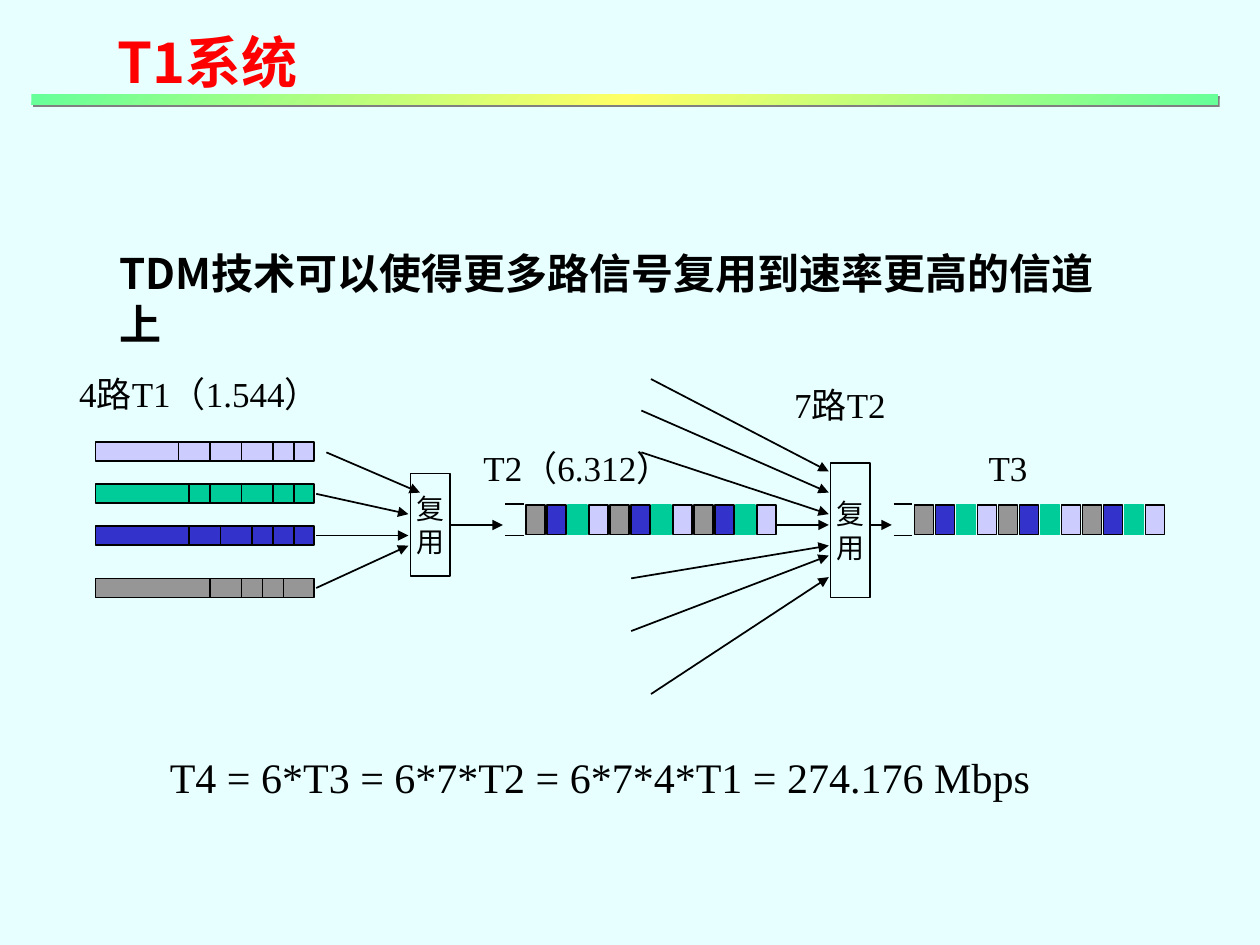
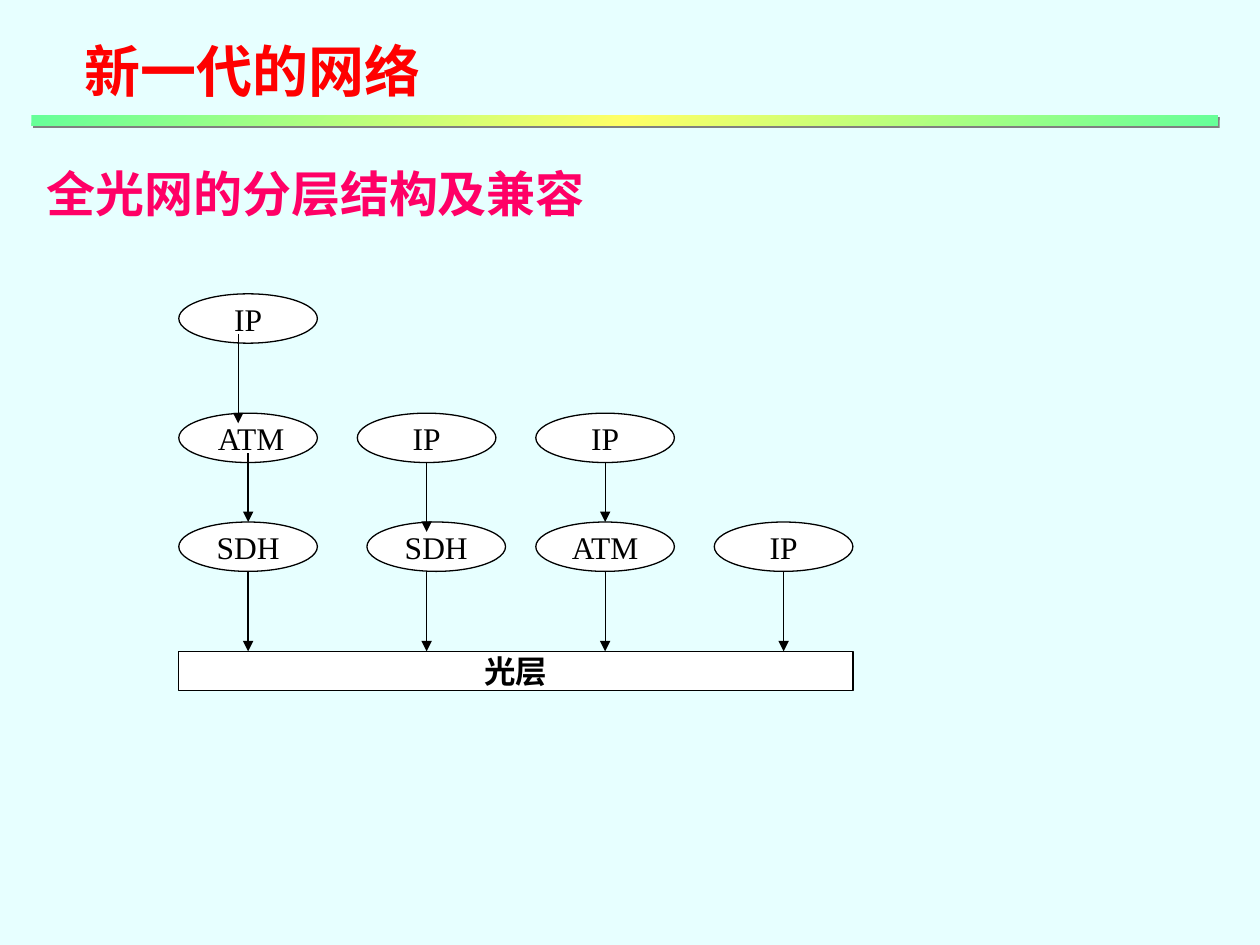
import copy
from dataclasses import dataclass

import pptx
import pptx.util
from pptx.dml.color import RGBColor
from pptx.enum.shapes import MSO_CONNECTOR, MSO_SHAPE
from pptx.enum.text import MSO_ANCHOR, PP_ALIGN
from pptx.oxml import parse_xml
from pptx.oxml.ns import nsdecls, qn


@dataclass(frozen=True)
class Theme:
    """Colours, fonts and type sizes shared by the slides."""
    background: str = "E7FFFF"
    title: str = "FF0000"
    heading: str = "FF0066"
    ink: str = "000000"
    white: str = "FFFFFF"
    band_edge: str = "66FF99"
    band_middle: str = "FFFF66"
    band_shadow: str = "808080"
    lavender: str = "CCCCFF"
    green: str = "00CC99"
    blue: str = "3333CC"
    grey: str = "969696"
    serif: str = "Times New Roman"
    sans: str = "Noto Sans CJK SC"
    title_size: int = 32
    heading_size: int = 28
    body_size: int = 24
    label_size: int = 20
    node_size: int = 18
    mux_size: int = 16
    thin: float = 0.75
    line: float = 1


T = Theme()
Pt = pptx.util.Pt
INSET = 0.6


def rgb(color):
    """Turn a hex string into a colour."""
    return RGBColor.from_string(color)


def write(shape, text, size, color=T.ink, font=T.serif, bold=False,
          centred=False, wrap=True):
    """Write the paragraphs of a text into a shape."""
    tf = shape.text_frame
    tf.word_wrap = wrap
    tf.vertical_anchor = MSO_ANCHOR.MIDDLE if centred else MSO_ANCHOR.TOP
    tf.text = text
    for p in tf.paragraphs:
        p.alignment = PP_ALIGN.CENTER if centred else PP_ALIGN.LEFT
        p.font.size = Pt(size)
        p.font.bold = bold
        p.font.color.rgb = rgb(color)
        p.font.name = font
        p.font._element.append(parse_xml(f'<a:ea {nsdecls("a")} typeface="{T.sans}"/>'))
    return tf.paragraphs[0]


def add_text(s, x, y, w, h, text, size, **style):
    """Add a text box and return its first paragraph."""
    sp = s.shapes.add_textbox(Pt(x), Pt(y), Pt(w), Pt(h))
    return write(sp, text, size, **style)


def add_label(s, cx, y, w, text):
    """Add a one-line label centred on cx, in a box wide enough to hold it."""
    add_text(s, cx - w / 2, y, w, 30, text, T.label_size, centred=True, wrap=False)


def add_box(s, x, y, w, h, fill=None, line=T.ink, width=T.line, kind=MSO_SHAPE.RECTANGLE):
    """Add a flat outlined shape, hollow unless a fill is given."""
    sp = s.shapes.add_shape(kind, Pt(x), Pt(y), Pt(w), Pt(h))
    sp.shadow.inherit = False
    if fill:
        sp.fill.solid()
        sp.fill.fore_color.rgb = rgb(fill)
    else:
        sp.fill.background()
    sp.line.color.rgb = rgb(line)
    sp.line.width = Pt(width)
    return sp


def add_cell(s, x, y, w, h, fill=None, line=T.ink):
    """Add a rectangle drawn slightly inside its grid cell."""
    return add_box(s, x + INSET, y + INSET, w - 2 * INSET, h - 2 * INSET, fill, line)


def add_line(s, x1, y1, x2, y2, width=T.line, arrow=False):
    """Add a straight line, with an arrowhead at its end if asked."""
    c = s.shapes.add_connector(MSO_CONNECTOR.STRAIGHT, Pt(x1), Pt(y1), Pt(x2), Pt(y2))
    c.line.color.rgb = rgb(T.ink)
    c.line.width = Pt(width)
    if arrow:
        c.line._get_or_add_ln().append(parse_xml(f'<a:tailEnd {nsdecls("a")} type="triangle"/>'))
    c._element.spPr.append(parse_xml(f'<a:effectLst {nsdecls("a")}/>'))
    return c


def add_band(s, y):
    """Add the gradient band under the title."""
    sp = add_box(s, 18, y, 678, 6)
    sp.line.fill.background()
    sp.fill.gradient()
    sp.fill.gradient_angle = 315
    first, last = sp.fill.gradient_stops
    first.color.rgb = rgb(T.band_middle)
    first.position = 0.5
    last.color.rgb = rgb(T.band_edge)
    last.position = 1
    stops = sp._element.spPr.find(qn("a:gradFill")).find(qn("a:gsLst"))
    edge = copy.deepcopy(stops[-1])
    edge.set("pos", "0")
    stops.insert(0, edge)
    sp._element.spPr.find(qn("a:effectLst")).append(parse_xml(
        f'<a:outerShdw {nsdecls("a")} dist="17780" dir="2700000" algn="ctr" rotWithShape="0">'
        f'<a:srgbClr val="{T.band_shadow}"/></a:outerShdw>'))


def add_slide(prs, title, x, y, w, band_y, font):
    """Start a slide with its background, band and title."""
    s = prs.slides.add_slide(prs.slide_layouts[6])
    s.background.fill.solid()
    s.background.fill.fore_color.rgb = rgb(T.background)
    add_band(s, band_y)
    add_text(s, x, y, w, 46, title, T.title_size, color=T.title, font=font, bold=True)
    return s


def add_streams(s, x, y):
    """Draw the four T1 streams, each cut into slots."""
    streams = [
        (0, T.lavender, (48, 66, 84, 102, 114)),
        (24, T.green, (54, 66, 84, 102, 114)),
        (48, T.blue, (54, 72, 90, 102, 114)),
        (78, T.grey, (66, 84, 96, 108)),
    ]
    for dy, color, cuts in streams:
        add_cell(s, x, y + dy, 126, 12, color)
        for dx in cuts:
            add_line(s, x + dx, y + dy + INSET, x + dx, y + dy + 12 - INSET)


def add_mux(s, x, y, h, arrows):
    """Draw a multiplexer and its incoming arrows, given relative to its corner."""
    mux = add_cell(s, x, y, 24, h)
    write(mux, "复\n用", T.mux_size, centred=True, wrap=False)
    for x1, y1, x2, y2 in arrows:
        add_line(s, x + x1, y + y1, x + x2, y + y2, arrow=True)
    return mux


def add_frame(s, x, y):
    """Draw the interleaved cells with the two ticks that lead in."""
    for i in range(12):
        color = (T.grey, T.blue, T.green, T.lavender)[i % 4]
        add_cell(s, x + 12 * i, y, 12, 18, color, T.green if color == T.green else T.ink)
    for dy in (0, 18):
        add_line(s, x - 12 + INSET, y + dy, x - INSET, y + dy)


def add_hierarchy(s, x, y):
    """Draw the T1 to T2 to T3 multiplexing chain."""
    add_streams(s, x + 12, y + 42)
    mux = add_mux(s, x + 192, y + 60, 60, [
        (-47.5, -11.5, 6, 11.5),
        (-53.3, 12.2, -0.6, 23.8),
        (-53.3, 36, -0.6, 36),
        (-53.3, 66, -0.6, 41.8),
    ])
    add_line(s, x + 216, y + 90, x + 245.4, y + 90, arrow=True).begin_connect(mux, 3)
    add_frame(s, x + 258, y + 78)
    starts = [(-102, -47.4), (-107.5, -29.4), (-107.5, -5.5), (-29.8, 36),
              (-113.3, 66.5), (-113.3, 96.6), (-102, 132.6)]
    ends = (5.4, 17.5, 29.8, 36, 47.8, 53.5, 65.8)
    add_mux(s, x + 432, y + 54, 78, [(x1, y1, -0.4, y2) for (x1, y1), y2 in zip(starts, ends)])
    add_line(s, x + 456, y + 90, x + 467.6, y + 90, arrow=True)
    add_frame(s, x + 480, y + 78)
    add_label(s, x + 72, y, 200, "4路T1（1.544）")
    add_label(s, x + 288, y + 42, 160, "T2（6.312）")
    add_label(s, x + 534, y + 42, 84, "T3")
    add_label(s, x + 438, y + 6, 90, "7路T2")


def add_layers(s, x, y):
    """Draw the protocol stacks standing on the optical layer."""
    w, h, pitch, rows, base = 79.2, 28.2, 102, (0, 68.2, 130.4), 204.3
    nodes = [
        (0, 0, "IP", 0), (0, 1, " ATM", 0), (0, 2, "SDH", 0),
        (1, 1, "IP", 0), (1, 2, "SDH", 5.5),
        (2, 1, "IP", 0), (2, 2, "ATM", 0),
        (3, 2, "IP", 0),
    ]
    for col, row, name, shift in nodes:
        sp = add_box(s, x + pitch * col + shift, y + rows[row], w, h, T.white,
                     width=T.thin, kind=MSO_SHAPE.OVAL)
        write(sp, name, T.node_size, centred=True, wrap=False)
    sp = add_box(s, x, y + base, 3 * pitch + w, 22.3, T.white, width=T.thin)
    write(sp, "光层", T.node_size, bold=True, centred=True, wrap=False)
    drops = [(0, 23, 74, -5.7), (0, 91, rows[2], 0), (1, 96.6, 136, 0), (2, 96.6, rows[2], 0)]
    drops += [(col, rows[2] + h, base, 0) for col in range(4)]
    for col, top, bottom, shift in drops:
        cx = x + pitch * col + w / 2 + shift
        add_line(s, cx, y + top, cx, y + bottom, T.thin, arrow=True)


def build_t1(prs):
    """Build the T1 system slide."""
    s = add_slide(prs, "T1系统", 60, 12, 424, 54, T.sans)
    add_hierarchy(s, 42, 210)
    p = add_text(s, 61, 138, 591, 36, "TDM技术可以使得更多路信号复用到速率更高的信道上",
                 T.body_size, font=T.sans, bold=True)
    p.space_before = Pt(12)
    add_text(s, 90, 426, 515, 36, "T4 = 6*T3 = 6*7*T2 = 6*7*4*T1 = 274.176 Mbps", T.body_size)


def build_network(prs):
    """Build the next-generation network slide."""
    s = add_slide(prs, "新一代的网络", 41, 17.5, 220, 66, T.serif)
    p = add_text(s, 19.5, 83, 669, 47.5, "全光网的分层结构及兼容",
                 T.heading_size, color=T.heading, bold=True)
    p.line_spacing = 1.2
    add_layers(s, 102.2, 167.9)


def main():
    """Build and save the presentation."""
    prs = pptx.Presentation()
    prs.slide_width, prs.slide_height = Pt(720), Pt(540)
    build_t1(prs)
    build_network(prs)
    prs.save("out.pptx")


if __name__ == "__main__":
    main()
